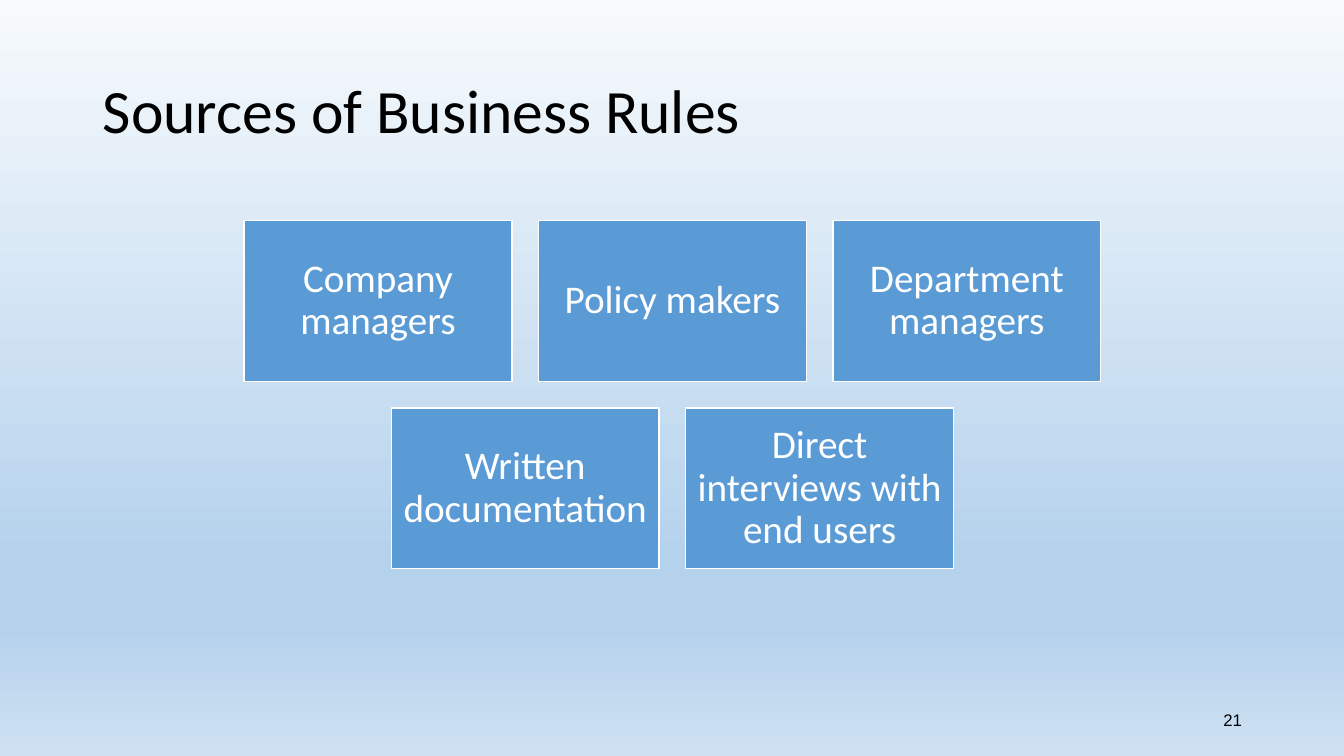
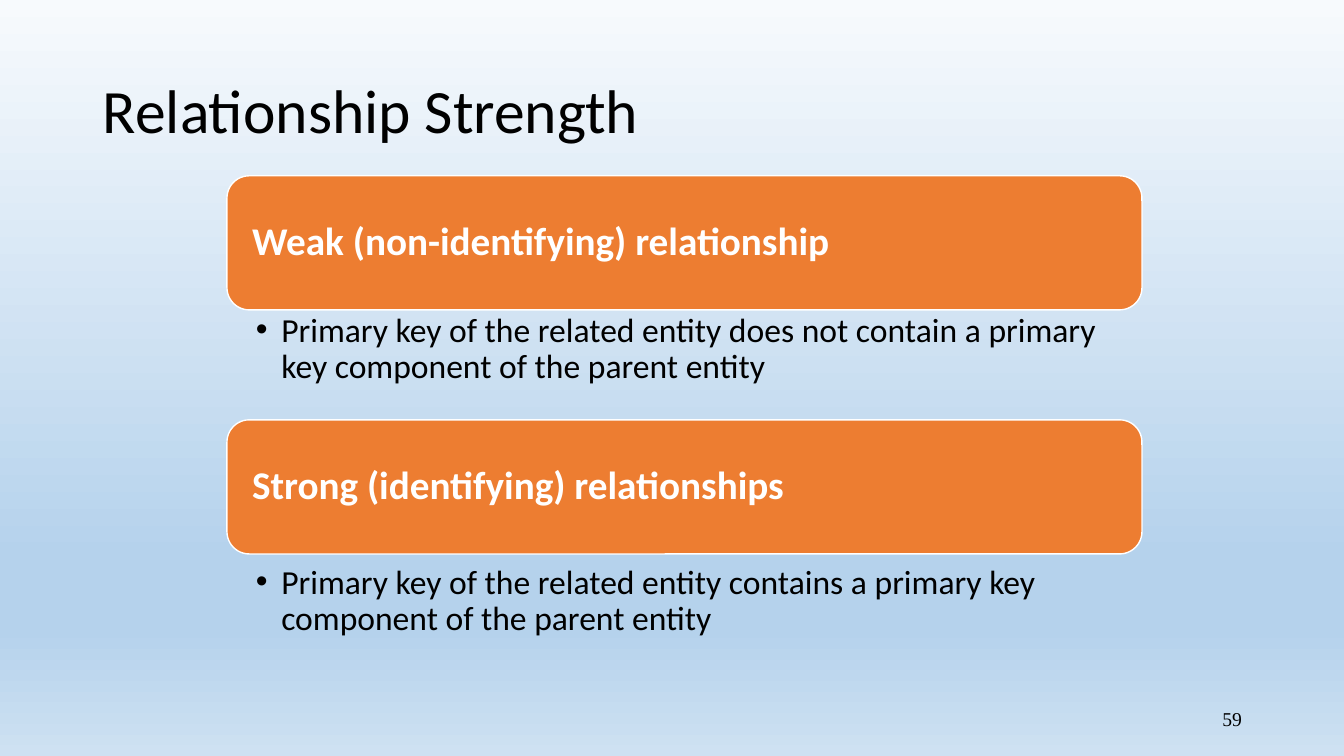
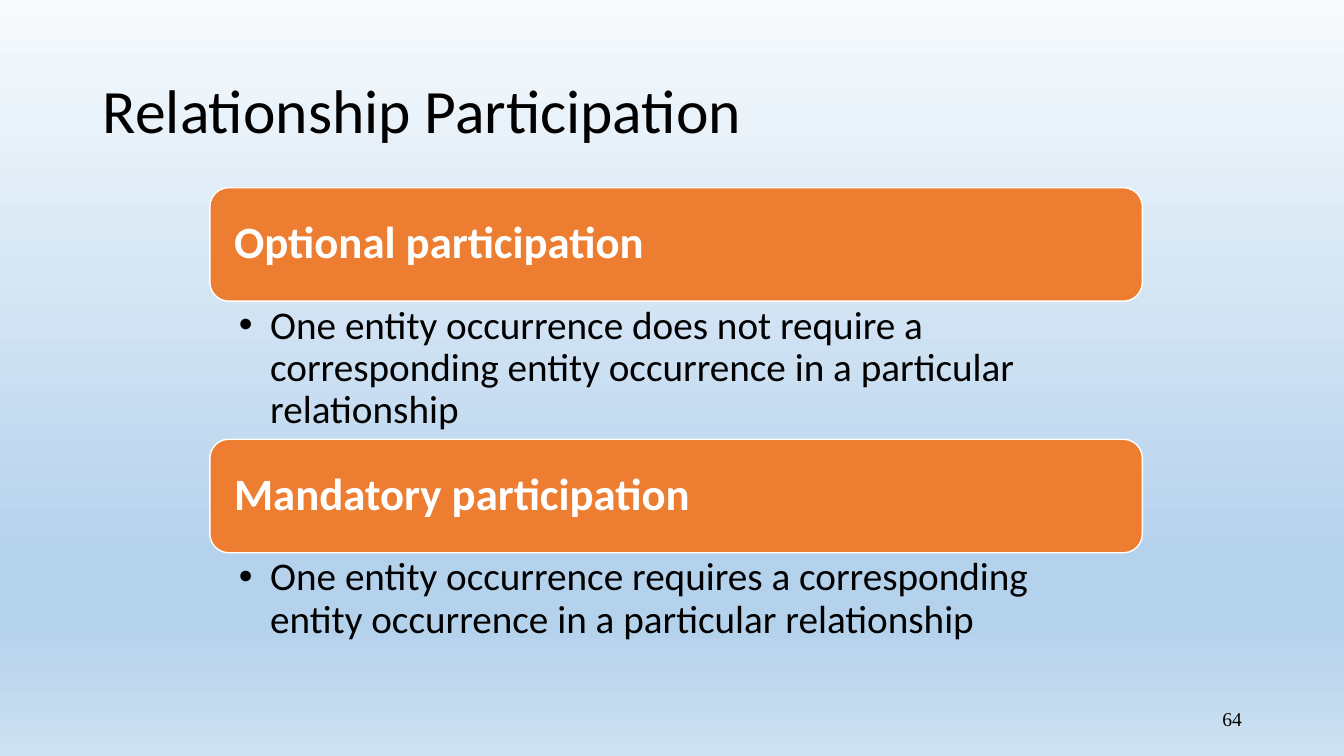
from dataclasses import dataclass

from lxml.etree import SubElement
from pptx import Presentation
from pptx.dml.color import RGBColor as Rgb
from pptx.enum.shapes import MSO_SHAPE as Kind
from pptx.enum.text import MSO_ANCHOR as Anchor, MSO_AUTO_SIZE as Fit, PP_ALIGN as Align
from pptx.oxml.ns import qn
from pptx.util import Cm, Pt


@dataclass(frozen=True)
class Theme:
    ink: str = "000000"
    white: str = "FFFFFF"
    blue: str = "5B9BD5"
    orange: str = "ED7D31"
    sky: tuple = ((0, "F7FAFD"), (74, "B5D2EC"), (83, "B5D2EC"), (100, "CEE1F2"))
    font: str = "Calibri"
    title: int = 44
    large: int = 32
    mid: int = 28
    small: int = 24
    lead: float = 0.9


@dataclass(frozen=True)
class Box:
    left: float
    top: float
    width: float
    height: float

    def place(self, shape):
        shape.left, shape.top = Cm(self.left), Cm(self.top)
        shape.width, shape.height = Cm(self.width), Cm(self.height)


THEME = Theme()
TITLE = Box(2.34, 1.02, 29.21, 3.68)
NUMBER = Box(23.93, 17.65, 7.62, 1.02)
ONLY, PAIR = 5, 3


def write(shape, text, size, color=THEME.ink, font=THEME.font, bold=False,
          align=Align.LEFT, anchor=Anchor.MIDDLE, pad=None):
    """Fill a shape with one paragraph; pad is left, top, right, bottom in cm."""
    frame = shape.text_frame
    frame.text = text
    frame.word_wrap = True
    frame.auto_size = Fit.NONE
    frame.vertical_anchor = anchor
    if pad:
        (frame.margin_left, frame.margin_top,
         frame.margin_right, frame.margin_bottom) = map(Cm, pad)
    para = frame.paragraphs[0]
    para.alignment = align
    para.line_spacing = THEME.lead
    para.space_before = Pt(0)
    face = para.runs[0].font
    face.name, face.size, face.bold = font, Pt(size), bold
    face.color.rgb = Rgb.from_string(color)
    return para


def paint(master):
    """Give the master the sky gradient, running from top to bottom."""
    fill = master.background.fill
    fill.gradient()
    fill.gradient_angle = 270
    stops = next(master.element.iter(qn("a:gsLst")))
    for old in list(stops):
        stops.remove(old)
    for spot, color in THEME.sky:
        stop = SubElement(stops, qn("a:gs"), pos=str(spot * 1000))
        SubElement(stop, qn("a:srgbClr"), val=color)


def start(deck, layout, title, number, size=14, font="Times New Roman"):
    """Add a slide with its title and slide number."""
    slide = deck.slides.add_slide(deck.slide_layouts[layout])
    TITLE.place(slide.shapes.title)
    write(slide.shapes.title, title, THEME.title)
    label = slide.shapes.add_textbox(0, 0, 0, 0)
    NUMBER.place(label)
    write(label, number, size, font=font, align=Align.RIGHT)
    return slide


def panel(slide, kind, box, color):
    shape = slide.shapes.add_shape(kind, 0, 0, 0, 0)
    box.place(shape)
    shape.shadow.inherit = False
    shape.fill.solid()
    shape.fill.fore_color.rgb = Rgb.from_string(color)
    shape.line.color.rgb = Rgb.from_string(THEME.white)
    shape.line.width = Pt(1)
    return shape


def cards(slide, area, rows, width, gap):
    """Stack rows of equal cards, each row centred in the area."""
    height = (area.height - gap * (len(rows) - 1)) / len(rows)
    for i, row in enumerate(rows):
        span = len(row) * (width + gap) - gap
        left = area.left + (area.width - span) / 2
        for j, text in enumerate(row):
            box = Box(left + j * (width + gap), area.top + i * (height + gap),
                      width, height)
            card = panel(slide, Kind.RECTANGLE, box, THEME.blue)
            write(card, text, THEME.mid, THEME.white, align=Align.CENTER,
                  pad=(0.3,) * 4)


def bands(slide, area, items, height, sizes, indent, pad):
    """Split the area evenly; each part is a band over a bullet.

    Items hold the heading, the bullet and the gap between them.
    """
    step = area.height / len(items)
    bodies = list(slide.placeholders)[1:]
    for i, (body, (head, text, gap)) in enumerate(zip(bodies, items)):
        top = area.top + i * step
        band = panel(slide, Kind.ROUNDED_RECTANGLE,
                     Box(area.left, top, area.width, height), THEME.orange)
        write(band, head, sizes[0], THEME.white, bold=True,
              pad=(0.47, 0.3, 0.47, 0.3))
        Box(area.left, top + height + gap, area.width, step - height).place(body)
        para = write(body, text, sizes[1], anchor=Anchor.TOP, pad=pad)
        props = para._p.get_or_add_pPr()
        props.set("marL", str(Cm(indent)))
        props.set("indent", str(-Cm(indent)))


def sources(deck):
    slide = start(deck, ONLY, "Sources of Business Rules", "21", 12, "Arial")
    rows = [["Company managers", "Policy makers", "Department managers"],
            ["Written documentation", "Direct interviews with end users"]]
    cards(slide, Box(6.15, 5.56, 21.59, 8.77), rows, 6.75, 0.67)


def strength(deck):
    slide = start(deck, PAIR, "Relationship Strength", "59")
    items = [("Weak (non-identifying) relationship",
              "Primary key of the related entity does not contain a primary key "
              "component of the parent entity", 0),
             ("Strong (identifying) relationships",
              "Primary key of the related entity contains a primary key "
              "component of the parent entity", 0.2)]
    bands(slide, Box(5.72, 4.43, 23.06, 12.3), items, 3.38,
          (THEME.mid, THEME.small), 0.64, (0.73, 0.08, 0.48, 0.08))


def sharing(deck):
    slide = start(deck, PAIR, "Relationship Participation", "64")
    items = [("Optional participation",
              "One entity occurrence does not require a corresponding entity "
              "occurrence in a particular relationship", 0),
             ("Mandatory participation",
              "One entity occurrence requires a corresponding entity "
              "occurrence in a particular relationship", 0)]
    bands(slide, Box(5.29, 4.73, 23.5, 12.68), items, 2.86,
          (THEME.large, THEME.mid), 0.79, (0.73, 0.1, 0.56, 0.1))


def main():
    deck = Presentation()
    deck.slide_width, deck.slide_height = Cm(33.87), Cm(19.05)
    paint(deck.slide_master)
    for build in (sources, strength, sharing):
        build(deck)
    deck.save("out.pptx")


if __name__ == "__main__":
    main()
